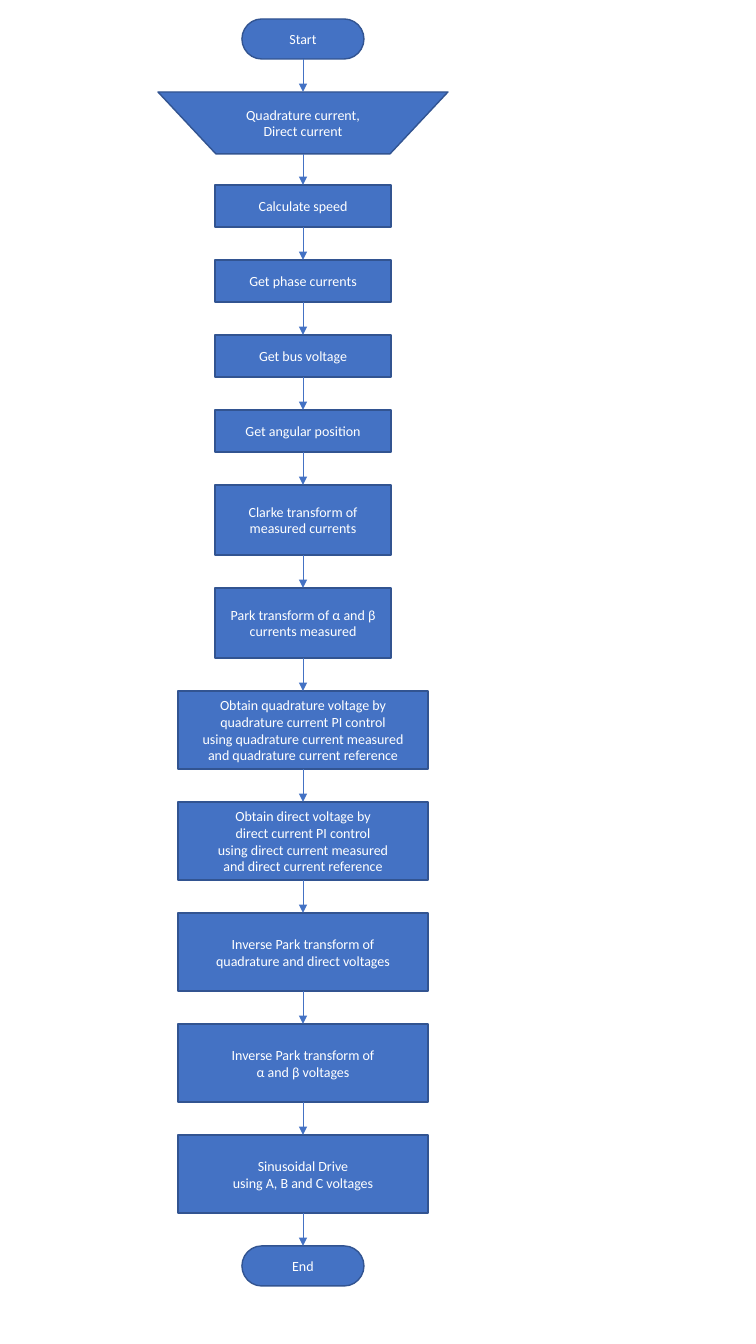
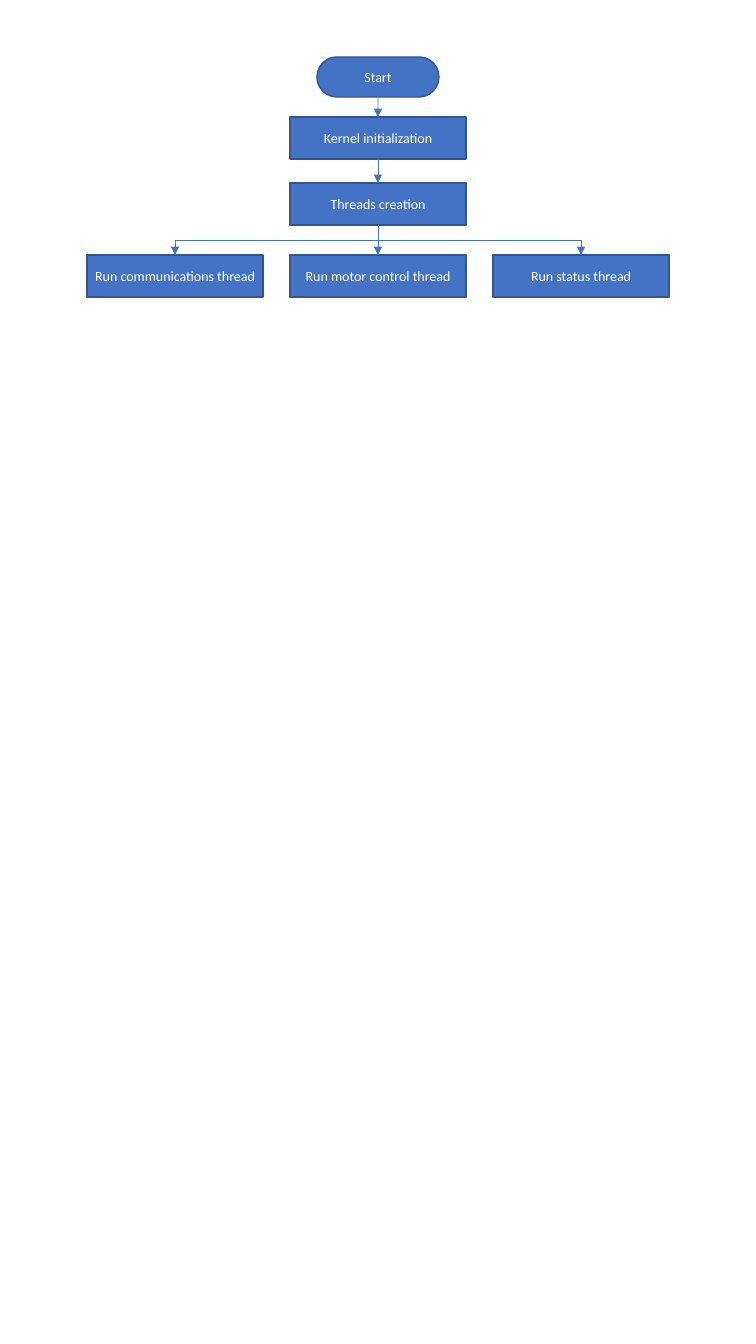
from lxml import etree
from pptx import Presentation
from pptx.dml.color import RGBColor
from pptx.enum.shapes import MSO_CONNECTOR, MSO_SHAPE
from pptx.enum.text import MSO_ANCHOR, PP_ALIGN
from pptx.oxml.ns import qn
from pptx.util import Pt

STRAIGHT, ELBOW = MSO_CONNECTOR.STRAIGHT, MSO_CONNECTOR.ELBOW
TERMINATOR = MSO_SHAPE.FLOWCHART_TERMINATOR
MANUAL = MSO_SHAPE.FLOWCHART_MANUAL_OPERATION
PROCESS = MSO_SHAPE.FLOWCHART_PROCESS
MIDDLE, CENTER = MSO_ANCHOR.MIDDLE, PP_ALIGN.CENTER

BLUE = RGBColor(0x44, 0x72, 0xC4)
NAVY = RGBColor(0x32, 0x54, 0x91)
WHITE = RGBColor(0xFF, 0xFF, 0xFF)
PX = 914400 / 100.8
TOP_SITE, BOTTOM_SITE = 0, 2

KINDS = {
    "terminal": (TERMINATOR, 122, 40),
    "input": (MANUAL, 290, 62),
    "step": (PROCESS, 176, 42),
    "transform": (PROCESS, 176, 70),
    "control": (PROCESS, 250, 78),
}
FRAME_FORMAT = {
    "vertical_anchor": MIDDLE,
    "word_wrap": True,
    "margin_left": round(6 * PX),
    "margin_right": round(6 * PX),
    "margin_top": round(3 * PX),
    "margin_bottom": round(3 * PX),
}


def add_node(slide, kind, center, top, text):
    preset, width, height = KINDS[kind]
    bounds = [round(v * PX) for v in (center - width / 2, top, width, height)]
    node = slide.shapes.add_shape(preset, *bounds)
    node.shadow.inherit = False
    node.fill.solid()
    node.fill.fore_color.rgb = BLUE
    node.line.color.rgb = NAVY
    node.line.width = Pt(1)
    frame = node.text_frame
    for key, value in FRAME_FORMAT.items():
        setattr(frame, key, value)
    frame.text = text
    for paragraph in frame.paragraphs:
        paragraph.alignment = CENTER
        paragraph.font.name = "Calibri"
        paragraph.font.size = Pt(10)
        paragraph.font.color.rgb = WHITE
    return node


def add_arrow(slide, upper, lower):
    start_x = upper.left + upper.width // 2
    end_x = lower.left + lower.width // 2
    start_y, end_y = upper.top + upper.height, lower.top
    run, drop = abs(end_x - start_x), end_y - start_y
    bent = run > PX
    arrow = slide.shapes.add_connector(ELBOW if bent else STRAIGHT, start_x, start_y, end_x, end_y)
    arrow.begin_connect(upper, BOTTOM_SITE)
    arrow.end_connect(lower, TOP_SITE)
    properties = arrow._element.spPr
    if bent:
        arrow.left = (start_x + end_x - drop) // 2
        arrow.top = (start_y + end_y - run) // 2
        arrow.width, arrow.height = drop, run
        leftward = end_x < start_x
        transform = properties.find(qn("a:xfrm"))
        transform.set("rot", "5400000" if leftward else "16200000")
        transform.set("flipH", "0" if leftward else "1")
    arrow.line.color.rgb = BLUE
    arrow.line.width = Pt(0.5)
    etree.SubElement(properties.find(qn("a:ln")), qn("a:tailEnd"), type="triangle")
    etree.SubElement(properties, qn("a:effectLst"))


deck = Presentation()
deck.slide_width, deck.slide_height = round(756 * PX), round(1344 * PX)
blank = deck.slide_layouts[6]

control_loop = deck.slides.add_slide(blank)
LOOP_STEPS = [
    ("terminal", "Start"),
    ("input", "Quadrature current,\nDirect current"),
    ("step", "Calculate speed"),
    ("step", "Get phase currents"),
    ("step", "Get bus voltage"),
    ("step", "Get angular position"),
    ("transform", "Clarke transform of measured currents"),
    ("transform", "Park transform of α and β currents measured"),
    ("control", "Obtain quadrature voltage by\nquadrature current PI control\n"
                "using quadrature current measured\nand quadrature current reference"),
    ("control", "Obtain direct voltage by\ndirect current PI control\n"
                "using direct current measured\nand direct current reference"),
    ("control", "Inverse Park transform of\nquadrature and direct voltages"),
    ("control", "Inverse Park transform of\nα and β voltages"),
    ("control", "Sinusoidal Drive\nusing A, B and C voltages"),
    ("terminal", "End"),
]
loop_nodes = []
top = 19
for kind, text in LOOP_STEPS:
    loop_nodes.append(add_node(control_loop, kind, 303, top, text))
    top += KINDS[kind][2] + (31 if kind == "input" else 33)
for upper, lower in zip(loop_nodes, loop_nodes[1:]):
    add_arrow(control_loop, upper, lower)

startup = deck.slides.add_slide(blank)
AXIS, THREAD_PITCH = 378, 203
STARTUP_STEPS = [
    ("terminal", 57, "Start"),
    ("step", 117, "Kernel initialization"),
    ("step", 183, "Threads creation"),
]
THREADS = ["Run communications thread", "Run motor control thread", "Run status thread"]
startup_nodes = [add_node(startup, kind, AXIS, top, text) for kind, top, text in STARTUP_STEPS]
thread_nodes = [
    add_node(startup, "step", AXIS + (column - 1) * THREAD_PITCH, 255, text)
    for column, text in enumerate(THREADS)
]
for upper, lower in zip(startup_nodes, startup_nodes[1:]):
    add_arrow(startup, upper, lower)
for thread in thread_nodes:
    add_arrow(startup, startup_nodes[-1], thread)

deck.save("out.pptx")
